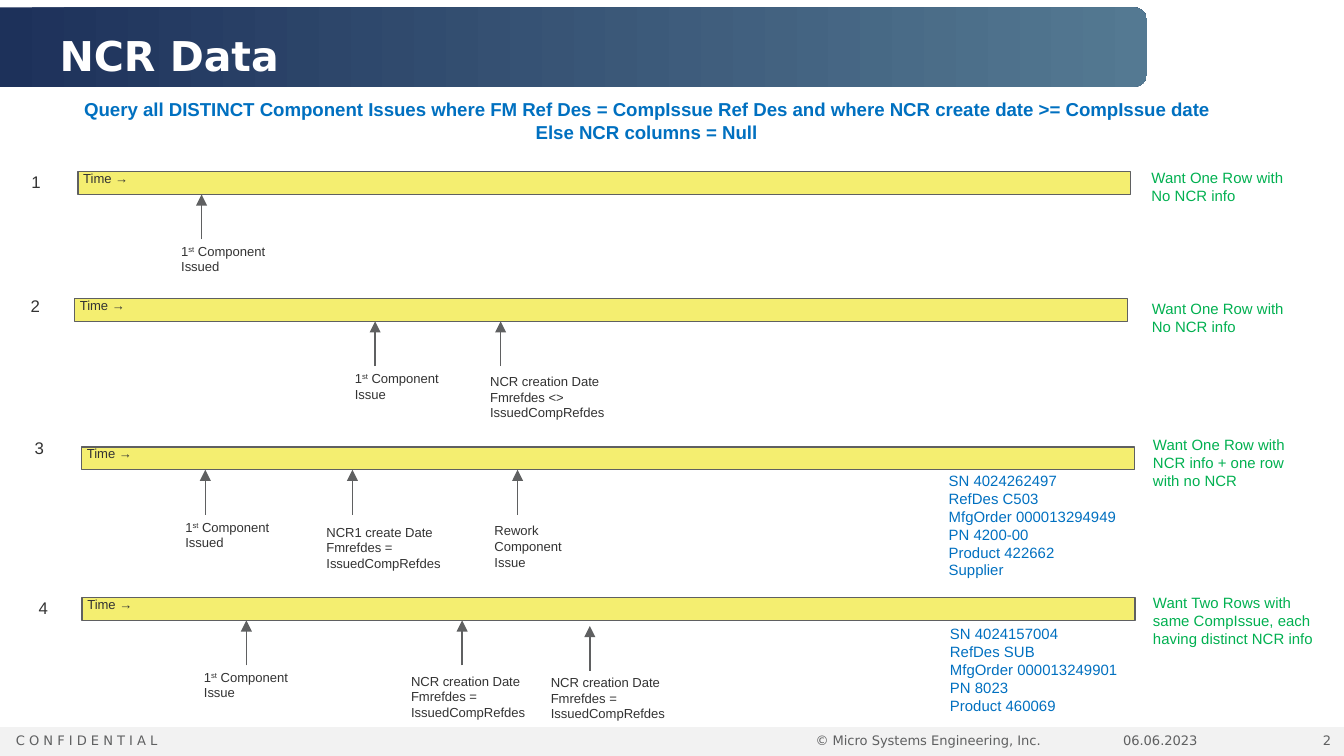
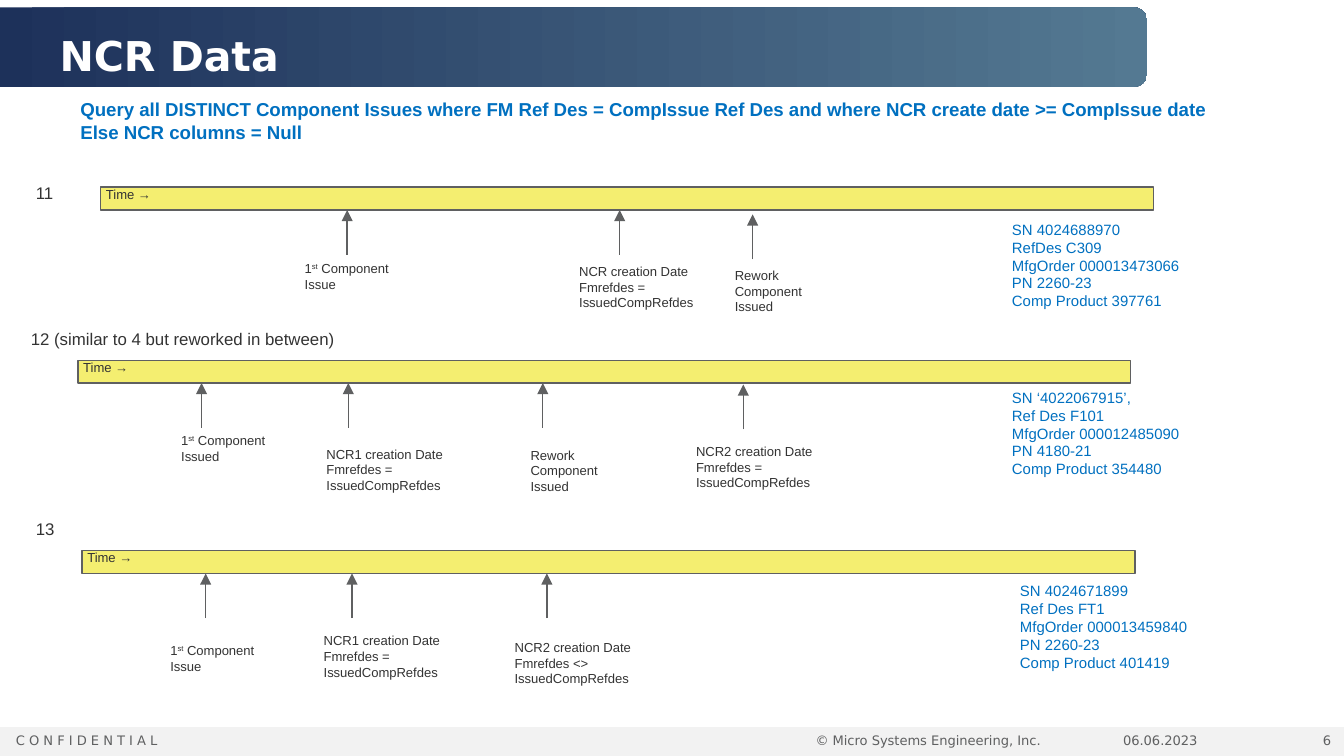
from dataclasses import dataclass
from typing import NamedTuple

from lxml import etree
from pptx import Presentation
from pptx.dml.color import RGBColor
from pptx.enum import shapes, text
from pptx.oxml.ns import qn
from pptx.util import Pt


@dataclass(frozen=True)
class Theme:
    body_font: str = "Arial"
    title_font: str = "DejaVu Sans"
    ink: str = "333333"
    gray: str = "5F6061"
    white: str = "FFFFFF"
    footer_bar: str = "F2F2F2"
    band_dark: str = "1D315A"
    band_light: str = "547992"
    timeline: str = "F4EE70"
    blue: str = "0070C0"
    green: str = "00B050"
    title_size: int = 22
    query_size: int = 10
    number_size: int = 9
    detail_size: int = 8
    small_size: int = 7


THEME = Theme()
SLIDE_W, SLIDE_H = 720, 405
BAR_W, BAR_H = 564, 12.2
ARROW_LENGTH = 24
LEFT, CENTER, RIGHT = text.PP_ALIGN.LEFT, text.PP_ALIGN.CENTER, text.PP_ALIGN.RIGHT


class Note(NamedTuple):
    """Text placed at an offset from the top left of its timeline."""
    dx: float
    dy: float
    width: float
    lines: tuple


class Event(NamedTuple):
    """Arrow at arrow_dx, starting drop below the timeline, with its note."""
    arrow_dx: float
    note: Note
    drop: float = 0


class Track(NamedTuple):
    left: float
    top: float
    number: Note
    events: tuple
    details: Note = None
    result: Note = None


def first_issue(dx, dy, word="Issue"):
    return Note(dx, dy, 78 if word == "Issued" else 72, (f"1st Component {word}",))


def ncr(dx, dy, name="NCR", relation="="):
    lines = (f"{name} creation Date", f"Fmrefdes {relation} IssuedCompRefdes")
    return Note(dx, dy, 82, lines)


def rework(dx, dy, word="Issued"):
    return Note(dx, dy, 55 if word == "Issued" else 60, (f"Rework Component {word}",))


def details(dx, dy, *lines):
    return Note(dx, dy, 107, lines)


def result(dx, dy, line, width=89):
    return Note(dx, dy, width, (line,))


QUERY = (
    "Query all DISTINCT Component Issues where FM Ref Des = CompIssue Ref Des "
    "and where NCR create date >= CompIssue date",
    "Else NCR columns = Null",
)
NO_NCR = "Want One Row with No NCR info"

BASIC_TRACKS = (
    Track(41.8, 92, Note(-32, -3.5, 16, ("1",)),
          (Event(66.2, first_issue(48.2, 34.8, "Issued")),),
          result=result(568, -5, NO_NCR)),
    Track(40, 160, Note(-30.6, -5.2, 16, ("2",)),
          (Event(161, first_issue(143, 35)),
           Event(228.2, ncr(215.5, 36.5, relation="<>"))),
          result=result(570, -3, NO_NCR)),
    Track(43.8, 239.5, Note(-32.3, -8.5, 16, ("3",)),
          (Event(66.2, first_issue(48.4, 35, "Issued")),
           Event(145, Note(124, 37.7, 102,
                           ("NCR1 create Date Fmrefdes = IssuedCompRefdes",))),
           Event(233.5, rework(214, 37, "Issue"))),
          details(457.3, 9.6, "SN 4024262497", "RefDes C503", "MfgOrder 000013294949",
                  "PN 4200-00", "Product 422662", "Supplier"),
          result(566.8, -9.8, "Want One Row with NCR info + one row with no NCR")),
    Track(44, 320.2, Note(-30.3, -3.4, 16, ("4",)),
          (Event(88, first_issue(58.2, 34.8)),
           Event(203.6, ncr(169.1, 36.9)),
           Event(272, ncr(244, 37.6), 3)),
          details(457.8, 11, "SN 4024157004", "RefDes SUB", "MfgOrder 000013249901",
                  "PN 8023", "Product 460069"),
          result(566.6, -5.6,
                 "Want Two Rows with same CompIssue, each having distinct NCR info", 100)),
)

REWORK_TRACKS = (
    Track(54, 100.3, Note(-41.8, -6, 25, ("11",)),
          (Event(132, first_issue(102.2, 35.8)),
           Event(278, ncr(249.2, 37.2)),
           Event(349.2, rework(332.6, 39.4), 2.4)),
          details(481, 14.2, "SN 4024688970", "RefDes C309", "MfgOrder 000013473066",
                  "PN 2260-23", "Comp Product 397761")),
    Track(41.8, 193, Note(-32.4, -20.2, 212, ("12 (similar to 4 but reworked in between)",)),
          (Event(66.2, first_issue(48.2, 35.2, "Issued")),
           Event(144.8, ncr(126, 42.4, "NCR1")),
           Event(249, rework(235.4, 43)),
           Event(356.4, ncr(324, 41, "NCR2"), 0.8)),
          details(493.2, 11.5, "SN ‘4022067915’,", "Ref Des F101", "MfgOrder 000012485090",
                  "PN 4180-21", "Comp Product 354480")),
    Track(44, 295, Note(-31.8, -20.7, 86, ("13",)),
          (Event(66.2, first_issue(40.2, 45.6)),
           Event(144.6, ncr(122.3, 40.5, "NCR1")),
           Event(249, ncr(224.6, 44, "NCR2", "<>"))),
          details(495.3, 13.2, "SN 4024671899", "Ref Des FT1", "MfgOrder 000013459840",
                  "PN 2260-23", "Comp Product 401419")),
)


def points(*values):
    return [Pt(value) for value in values]


def rgb(color):
    return RGBColor.from_string(color)


def style(paragraph, size, color, font=THEME.body_font, bold=False, align=LEFT):
    paragraph.alignment = align
    paragraph.font.name = font
    paragraph.font.size = Pt(size)
    paragraph.font.bold = bold
    paragraph.font.color.rgb = rgb(color)


def write_line(paragraph, line):
    """Add the line as runs, raising the ending of a leading 1st."""
    if not line.startswith("1st "):
        paragraph.add_run().text = line
        return
    for part in ("1", "st", line[3:]):
        run = paragraph.add_run()
        run.text = part
        if part == "st":
            run.font._element.set("baseline", "30000")


def add_text(slide, box, lines, size, color, wrap=True, **look):
    frame = slide.shapes.add_textbox(*points(*box)).text_frame
    frame.word_wrap = wrap
    frame.auto_size = text.MSO_AUTO_SIZE.SHAPE_TO_FIT_TEXT
    for index, line in enumerate(lines):
        paragraph = frame.add_paragraph() if index else frame.paragraphs[0]
        write_line(paragraph, line)
        style(paragraph, size, color, **look)
    return frame


def add_block(slide, kind, box, fill=None, outline=None):
    block = slide.shapes.add_shape(kind, *points(*box))
    block.shadow.inherit = False
    if fill:
        block.fill.solid()
        block.fill.fore_color.rgb = rgb(fill)
    if outline:
        block.line.color.rgb = rgb(outline)
        block.line.width = Pt(0.75)
    else:
        block.line.fill.background()
    return block


def add_up_arrow(slide, x, top):
    arrow = slide.shapes.add_connector(
        shapes.MSO_CONNECTOR.STRAIGHT, *points(x, top + ARROW_LENGTH, x, top))
    arrow.line.color.rgb = rgb(THEME.gray)
    arrow.line.width = Pt(0.75)
    etree.SubElement(arrow.line._get_or_add_ln(), qn("a:tailEnd"), type="triangle")
    etree.SubElement(arrow._element.spPr, qn("a:effectLst"))


def add_title_band(slide, box, title):
    left, top, width, height = box
    # The shape stands upright and is turned so that its rounded end faces right.
    upright = (left + (width - height) / 2, top + (height - width) / 2, height, width)
    band = add_block(slide, shapes.MSO_SHAPE.ROUND_2_SAME_RECTANGLE, upright)
    band.rotation = 90
    band.fill.gradient()
    band.fill.gradient_angle = 90
    for stop, color in zip(band.fill.gradient_stops, (THEME.band_dark, THEME.band_light)):
        stop.color.rgb = rgb(color)

    heading = slide.shapes.title
    slide.shapes._spTree.append(heading._element)
    heading.left, heading.top, heading.width, heading.height = points(
        left + 25.2, top + 11, width - 34.4, 29.5)
    frame = heading.text_frame
    frame.text = title
    frame.word_wrap = True
    frame.auto_size = text.MSO_AUTO_SIZE.NONE
    frame.vertical_anchor = text.MSO_ANCHOR.MIDDLE
    frame.margin_left = frame.margin_right = Pt(6.75)
    frame.margin_top = frame.margin_bottom = Pt(3)
    style(frame.paragraphs[0], THEME.title_size, THEME.white, THEME.title_font, True)


def add_footer(slide, box, number):
    left, top, width, height = box
    add_block(slide, shapes.MSO_SHAPE.RECTANGLE, box, THEME.footer_bar)
    for dx, part_width, line, align in (
        (2, 386, "C O N F I D E N T I A L", LEFT),
        (378, 186, "© Micro Systems Engineering, Inc.", RIGHT),
        (564, 84, "06.06.2023", RIGHT),
        (width - 36.4, 36, str(number), RIGHT),
    ):
        frame = add_text(slide, (left + dx, top, part_width, height), (line,),
                         THEME.small_size, THEME.gray, font=THEME.title_font, align=align)
        frame.auto_size = text.MSO_AUTO_SIZE.NONE
        frame.margin_left = frame.margin_right = Pt(6.5)
        frame.margin_top = frame.margin_bottom = Pt(3)


def add_track(slide, track):
    def place(note, size, color, wrap=True):
        box = (track.left + note.dx, track.top + note.dy, note.width,
               7.2 + 1.2 * size * len(note.lines))
        add_text(slide, box, note.lines, size, color, wrap)

    add_block(slide, shapes.MSO_SHAPE.RECTANGLE, (track.left, track.top, BAR_W, BAR_H),
              THEME.timeline, THEME.gray)
    place(Note(-4.3, -4.2, 60, ("Time →",)), THEME.small_size, THEME.ink)
    place(track.number, THEME.number_size, THEME.ink)
    for event in track.events:
        add_up_arrow(slide, track.left + event.arrow_dx, track.top + BAR_H + event.drop)
        place(event.note, THEME.small_size, THEME.ink)
    if track.details:
        place(track.details, THEME.detail_size, THEME.blue, wrap=False)
    if track.result:
        place(track.result, THEME.detail_size, THEME.green)


def add_ncr_slide(deck, number, tracks, query_align):
    slide = deck.slides.add_slide(deck.slide_layouts[5])
    add_footer(slide, (0, 389.6, SLIDE_W, 15.4), number)
    add_title_band(slide, (0, 4, 614.5, 42.5), "NCR Data")
    for track in tracks:
        add_track(slide, track)
    add_text(slide, (36, 49, 620.6, 31.7), QUERY, THEME.query_size, THEME.blue,
             wrap=False, bold=True, align=query_align)


def main():
    deck = Presentation()
    deck.slide_width, deck.slide_height = points(SLIDE_W, SLIDE_H)
    add_ncr_slide(deck, 2, BASIC_TRACKS, CENTER)
    add_ncr_slide(deck, 6, REWORK_TRACKS, LEFT)
    deck.save("out.pptx")


if __name__ == "__main__":
    main()
